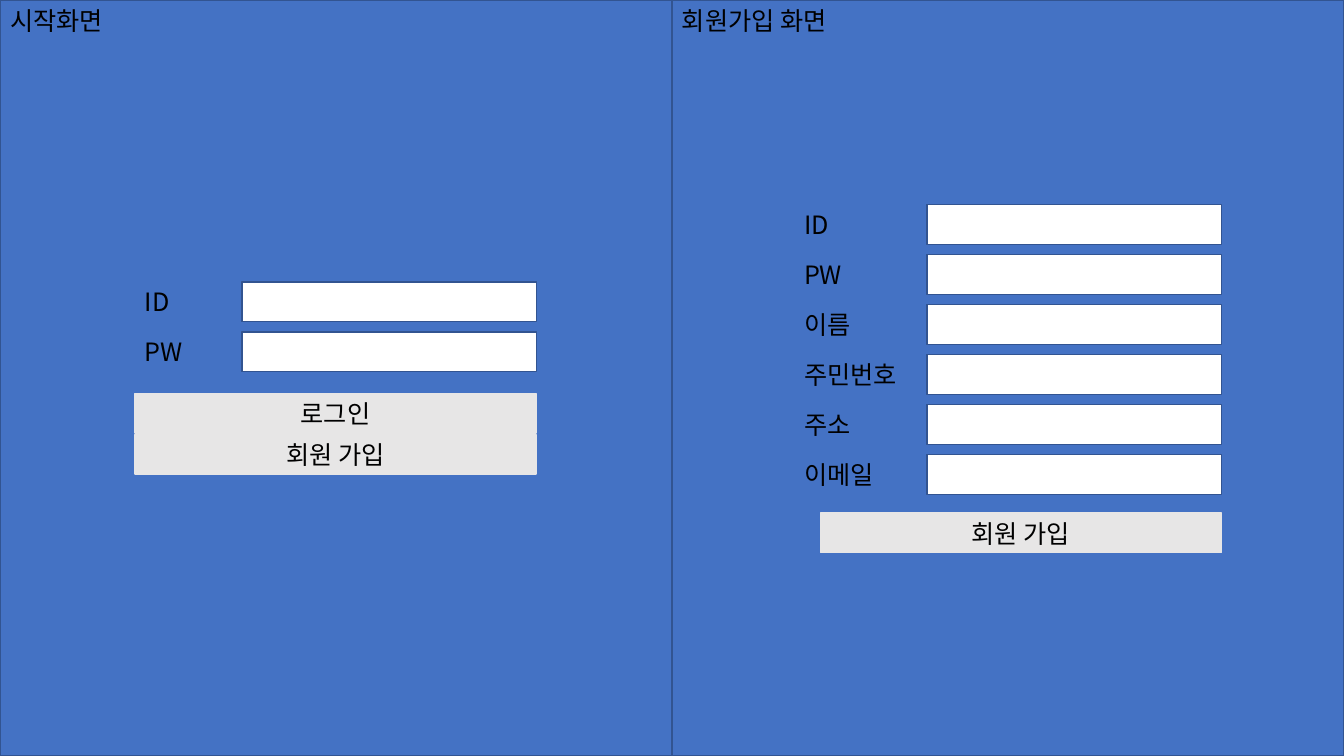
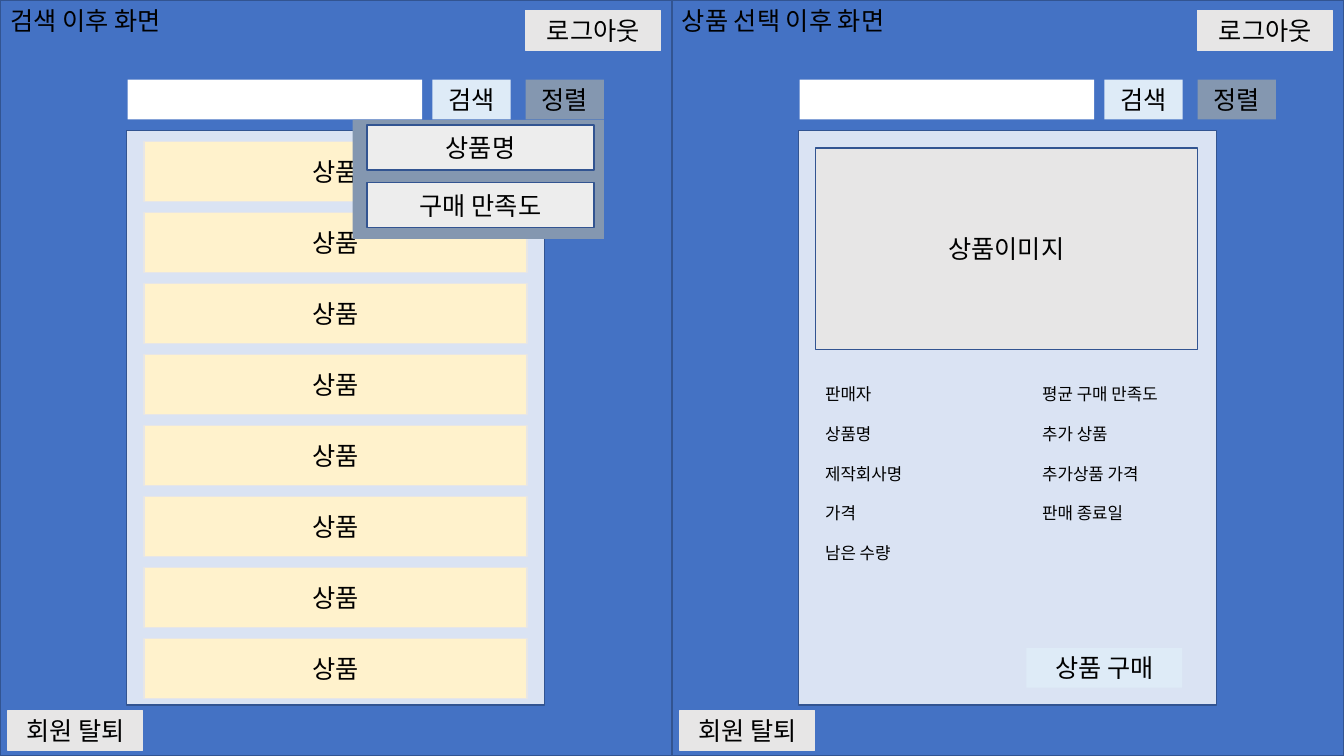
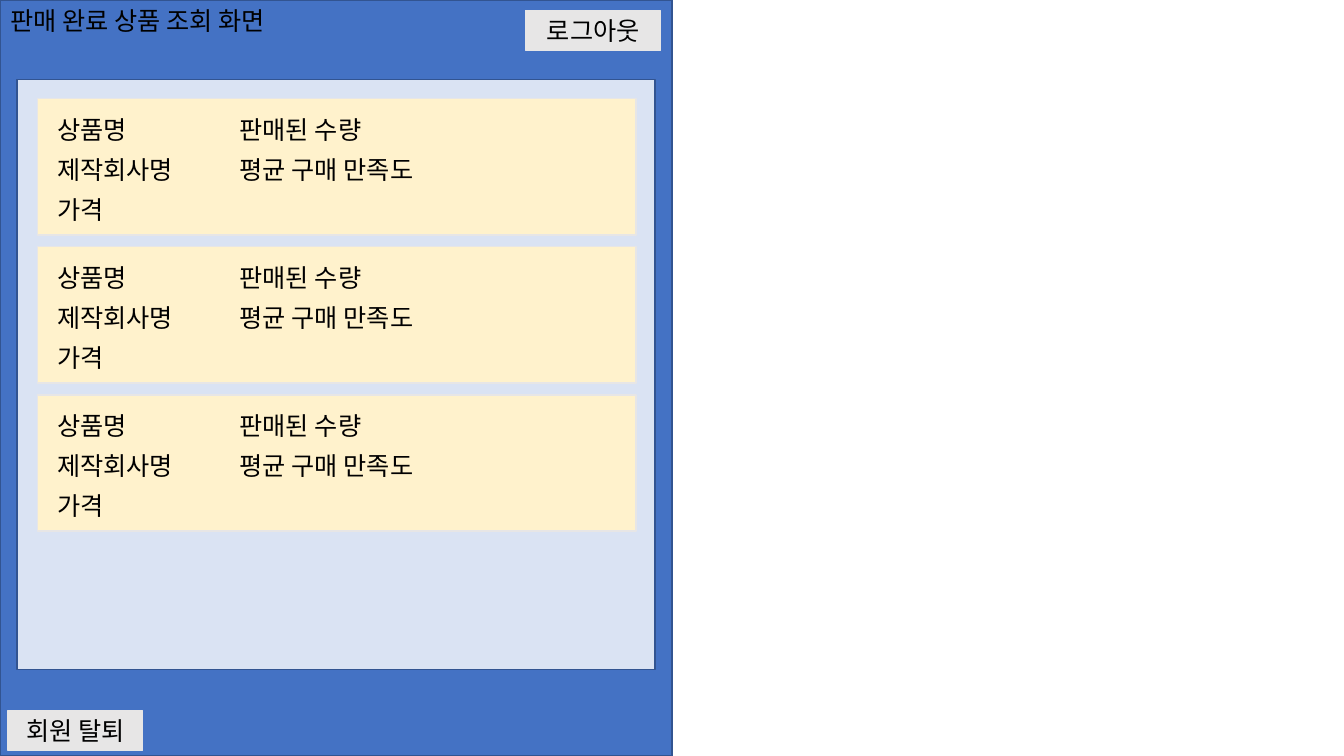
"""Build wireframes of a shopping service, up to two screens per slide."""
from dataclasses import dataclass
from typing import Any

from lxml import etree
from pptx import Presentation
from pptx.dml.color import RGBColor
from pptx.enum import shapes, text
from pptx.oxml import ns
from pptx.util import Cm, Pt

LOGIN_TITLE, SIGNUP_TITLE = ("시작화면", 4.24), ("회원가입 화면", 4.83)
SEARCH_TITLE, PRODUCT_TITLE = ("검색 이후 화면", 5.66), ("상품 선택 이후 화면", 6.4)
SALES_TITLE = ("판매 완료 상품 조회 화면", 8.2)
LOGIN_FIELDS = ["ID", "PW"]
SIGNUP_FIELDS = ["ID", "PW", "이름", "주민번호", "주소", "이메일"]
LOGIN_BUTTONS = ["로그인", "회원 가입"]
PRODUCT_ROWS = ["상품"] * 8
SORT_OPTIONS = ["상품명", "구매 만족도"]
PRODUCT_DETAILS = [
    (3.61, 3.76, ["판매자", "상품명", "제작회사명", "가격", "남은 수량"]),
    (9.08, 3.76, ["평균 구매 만족도", "추가 상품", "추가상품 가격", "판매 종료일"]),
]
SALE_DETAILS = [
    (0.25, 3.68, ["상품명", "제작회사명", "가격"]),
    (4.85, 7.44, ["판매된 수량", "평균 구매 만족도"]),
]
SALE_COUNT = 3

BLACK = RGBColor(0x00, 0x00, 0x00)
WHITE = RGBColor(0xFF, 0xFF, 0xFF)
BLUE = RGBColor(0x44, 0x72, 0xC4)
NAVY = RGBColor(0x32, 0x54, 0x91)
PALE_BLUE = RGBColor(0xDA, 0xE3, 0xF3)
ICE = RGBColor(0xDE, 0xEB, 0xF7)
SLATE = RGBColor(0x84, 0x97, 0xB0)
GREY = RGBColor(0xE7, 0xE6, 0xE6)
LIGHT_GREY = RGBColor(0xED, 0xED, 0xED)
CREAM = RGBColor(0xFF, 0xF2, 0xCC)

FONT = "Noto Sans CJK KR"
SLIDE_WIDTH, SLIDE_HEIGHT = 33.87, 19.05
SCREEN_WIDTH = SLIDE_WIDTH / 2
ROW_HEIGHT = 1.0
LABEL_HEIGHT = 1.02
FIELD_WIDTH = 7.42
FIELD_PITCH = 1.26
BUTTON_WIDTH = 10.11
DETAIL_PITCH = 1.0


def set_attributes(target, values):
    for name, value in values.items():
        setattr(target, name, value)


def write(shape, wording, size, align, anchor):
    frame = shape.text_frame
    set_attributes(frame, {
        "text": wording, "word_wrap": True, "vertical_anchor": anchor,
        "auto_size": text.MSO_AUTO_SIZE.NONE,
    })
    paragraph = frame.paragraphs[0]
    paragraph.alignment = align
    font = paragraph.runs[0].font
    set_attributes(font, {"name": FONT, "size": Pt(size), "bold": False})
    font.color.rgb = BLACK
    properties = paragraph.runs[0]._r.get_or_add_rPr()
    etree.SubElement(properties, ns.qn("a:ea"), typeface=FONT)


@dataclass
class Screen:
    """One screen whose parts are placed from its own left edge."""
    slide: Any
    left: float = 0

    def place(self, left, top, width, height):
        return Cm(self.left + left), Cm(top), Cm(width), Cm(height)

    def box(self, left, top, width, height, fill, line=None, wording=""):
        shape = self.slide.shapes.add_shape(
            shapes.MSO_SHAPE.RECTANGLE, *self.place(left, top, width, height))
        shape.shadow.inherit = False
        shape.fill.solid()
        shape.fill.fore_color.rgb = fill
        if line is None:
            shape.line.fill.background()
        else:
            shape.line.color.rgb = line
            shape.line.width = Pt(1)
        if wording:
            write(shape, wording, 18, text.PP_ALIGN.CENTER, text.MSO_ANCHOR.MIDDLE)
        return shape

    def label(self, left, top, width, wording, size=18, height=LABEL_HEIGHT):
        shape = self.slide.shapes.add_textbox(*self.place(left, top, width, height))
        write(shape, wording, size, text.PP_ALIGN.LEFT, text.MSO_ANCHOR.TOP)

    def background(self, title, width):
        panel = self.box(0, 0, SCREEN_WIDTH, SLIDE_HEIGHT, BLUE, NAVY)
        if self.left:
            self.label(0, 0, width, title)
            return
        heading = self.slide.shapes.title
        position = self.place(0, 0, width, LABEL_HEIGHT)
        set_attributes(heading, dict(zip(("left", "top", "width", "height"), position)))
        write(heading, title, 18, text.PP_ALIGN.LEFT, text.MSO_ANCHOR.TOP)
        panel._element.addnext(heading._element)

    def account_buttons(self):
        self.box(13.25, 0.27, 3.4, ROW_HEIGHT, GREY, GREY, "로그아웃")
        self.box(0.2, 17.91, 3.4, ROW_HEIGHT, GREY, GREY, "회원 탈퇴")

    def form(self, names, label_left, label_width, field_left, top):
        for index, name in enumerate(names):
            row_top = top + index * FIELD_PITCH
            self.box(field_left, row_top, FIELD_WIDTH, ROW_HEIGHT, WHITE, NAVY)
            self.label(label_left, row_top - 0.02, label_width, name)

    def details(self, columns, left, top, size, height):
        for offset, width, names in columns:
            for index, name in enumerate(names):
                self.label(left + offset, top + index * DETAIL_PITCH, width,
                           name, size, height)

    def shop(self, title):
        self.background(*title)
        self.account_buttons()
        self.box(3.19, 3.29, 10.54, 14.48, PALE_BLUE, NAVY)
        self.box(3.22, 2.01, FIELD_WIDTH, ROW_HEIGHT, WHITE)
        self.box(10.9, 2.01, 1.97, ROW_HEIGHT, ICE, wording="검색")
        self.box(13.25, 2.01, 1.97, ROW_HEIGHT, SLATE, wording="정렬")


def build_entry(slide):
    login = Screen(slide)
    login.background(*LOGIN_TITLE)
    login.form(LOGIN_FIELDS, 3.4, 2.7, 6.1, 7.11)
    for index, name in enumerate(LOGIN_BUTTONS):
        login.box(3.4, 9.91 + index * 1.04, BUTTON_WIDTH, ROW_HEIGHT, GREY, GREY, name)
    signup = Screen(slide, SCREEN_WIDTH)
    signup.background(*SIGNUP_TITLE)
    signup.form(SIGNUP_FIELDS, 3.08, 3.3, 6.43, 5.16)
    signup.box(3.74, 12.93, BUTTON_WIDTH, ROW_HEIGHT, GREY, GREY, "회원 가입")


def build_shop(slide):
    search = Screen(slide)
    search.shop(SEARCH_TITLE)
    for index, name in enumerate(PRODUCT_ROWS):
        search.box(3.63, 3.56 + index * 1.79, 9.65, 1.52, CREAM, GREY, name)
    search.box(8.89, 3.02, 6.33, 3, SLATE)
    for index, name in enumerate(SORT_OPTIONS):
        search.box(9.25, 3.15 + index * 1.45, 5.72, 1.14, LIGHT_GREY, NAVY, name)
    product = Screen(slide, SCREEN_WIDTH)
    product.shop(PRODUCT_TITLE)
    product.box(3.61, 3.73, 9.63, 5.08, GREY, NAVY, "상품이미지")
    product.details(PRODUCT_DETAILS, 0, 9.55, 12, 0.76)
    product.box(8.93, 16.33, 3.93, ROW_HEIGHT, ICE, wording="상품 구매")


def build_sales(slide):
    sales = Screen(slide)
    sales.background(*SALES_TITLE)
    sales.account_buttons()
    sales.box(0.43, 2.01, 16.08, 14.86, PALE_BLUE, NAVY)
    for index in range(SALE_COUNT):
        top = 2.49 + index * 3.73
        sales.box(0.94, top, 15.09, 3.43, CREAM, GREY)
        sales.details(SALE_DETAILS, 0.94, top + 0.27, 18, LABEL_HEIGHT)


presentation = Presentation()
presentation.slide_width, presentation.slide_height = Cm(SLIDE_WIDTH), Cm(SLIDE_HEIGHT)
title_only = presentation.slide_layouts[5]
for build in (build_entry, build_shop, build_sales):
    build(presentation.slides.add_slide(title_only))
presentation.save("out.pptx")
